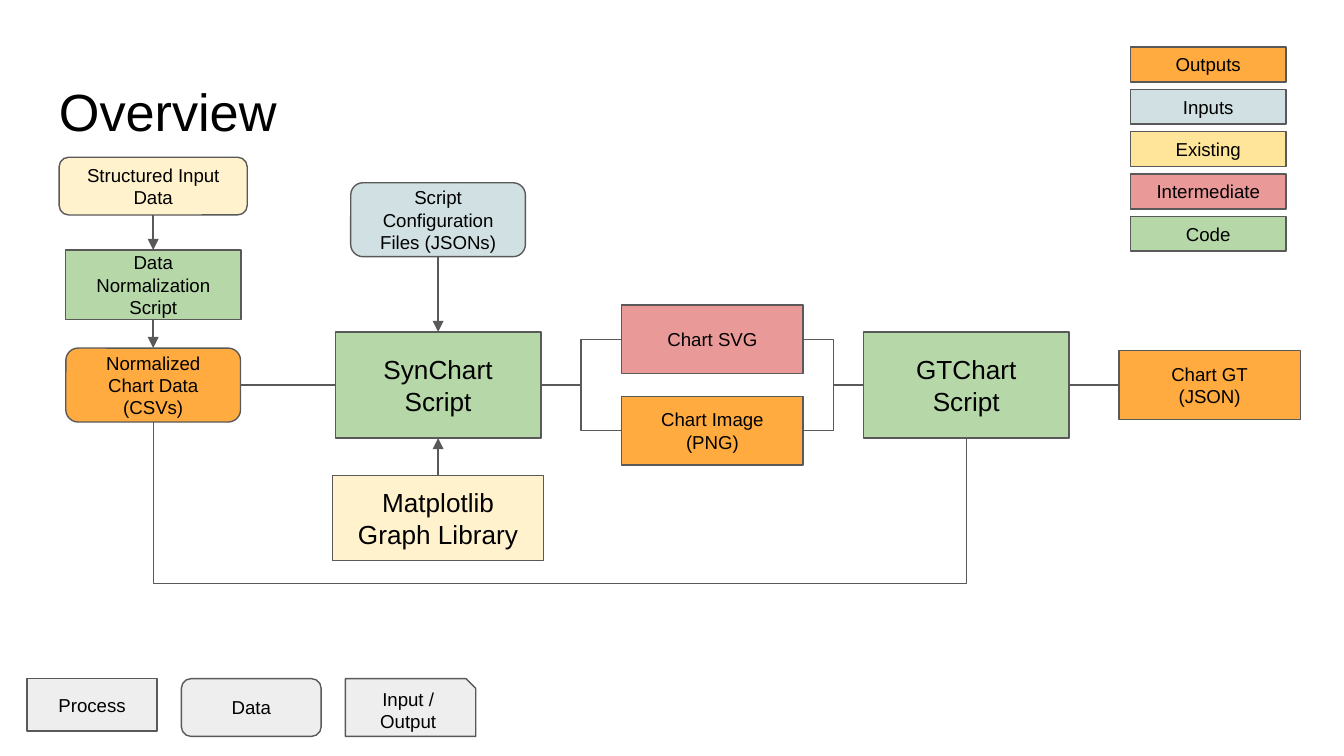
from lxml.etree import SubElement
from pptx import Presentation
from pptx.dml.color import RGBColor
from pptx.enum.shapes import MSO_CONNECTOR as Link, MSO_SHAPE as Form
from pptx.enum.text import MSO_ANCHOR as Anchor, PP_ALIGN as Align
from pptx.oxml.ns import qn
from pptx.util import Inches, Pt

WIDE = 10
HIGH = WIDE * 9 / 16
INK, EDGE = "000000", "595959"
ORANGE, BLUE, CREAM, YELLOW = "FFAB40", "D0E0E3", "FFF2CC", "FFE599"
PINK, GREEN, GRAY = "EA9999", "B6D7A8", "EEEEEE"
RECT, ROUND, SNIP = Form.RECTANGLE, Form.ROUNDED_RECTANGLE, Form.SNIP_1_RECTANGLE
TOP, LEFT, BOTTOM, RIGHT = range(4)

LEGEND = [("Outputs", ORANGE), ("Inputs", BLUE), ("Existing", YELLOW),
          ("Intermediate", PINK), ("Code", GREEN)]
FIRST, LAST = 0.35, 1.61

KEYS = [("Process", RECT, 0.2, 0.97, 0.39),
        ("Data", ROUND, 1.35, 1.04, 0.43),
        ("Input / Output", SNIP, 2.57, 0.97, 0.43)]

COLS = {"data": 1.14, "syn": 3.26, "files": 5.3, "truth": 7.19, "result": 9}

NODES = {
    "source": ("Structured Input Data", ROUND, CREAM, 10, "data", 1.17, 1.4, 0.43),
    "clean": ("Data Normalization Script", RECT, GREEN, 10, "data", 1.86, 1.31, 0.52),
    "table": ("Normalized Chart Data\n(CSVs)", ROUND, ORANGE, 10, "data", 2.59, 1.3, 0.55),
    "config": ("Script Configuration\nFiles (JSONs)", ROUND, BLUE, 10, "syn", 1.36, 1.3, 0.55),
    "synth": ("SynChart Script", RECT, GREEN, 14, "syn", 2.47, 1.53, 0.79),
    "library": ("Matplotlib Graph Library", RECT, CREAM, 14, "syn", 3.54, 1.57, 0.63),
    "vector": ("Chart SVG", RECT, PINK, 10, "files", 2.27, 1.35, 0.51),
    "image": ("Chart Image\n(PNG)", RECT, ORANGE, 10, "files", 2.95, 1.35, 0.51),
    "truth": ("GTChart\nScript", RECT, GREEN, 14, "truth", 2.47, 1.53, 0.79),
    "result": ("Chart GT\n(JSON)", RECT, ORANGE, 10, "result", 2.61, 1.35, 0.51),
}

ARROWS = [("source", BOTTOM, "clean", TOP), ("clean", BOTTOM, "table", TOP),
          ("config", BOTTOM, "synth", TOP), ("library", TOP, "synth", BOTTOM)]

ELBOWS = [("table", "synth"), ("synth", "vector"), ("synth", "image"),
          ("vector", "truth"), ("image", "truth"), ("truth", "result")]

LOOP = ("table", "truth", 4.34)

deck = Presentation()
deck.slide_width, deck.slide_height = Inches(WIDE), Inches(HIGH)
slide = deck.slides.add_slide(deck.slide_layouts[6])
shapes = slide.shapes


def paint(code):
    return RGBColor.from_string(code)


def write(shape, text, size=10, align=Align.CENTER, anchor=Anchor.MIDDLE):
    frame = shape.text_frame
    frame.word_wrap = True
    frame.vertical_anchor = anchor
    frame.margin_left = frame.margin_right = Inches(0.1)
    frame.margin_top = frame.margin_bottom = Inches(0.1)
    frame.text = text
    for para in frame.paragraphs:
        para.alignment = align
        for run in para.runs:
            run.font.size = Pt(size)
            run.font.name = "Arial"
            run.font.color.rgb = paint(INK)


def box(text, form, fill, x, y, w, h, size=10):
    shape = shapes.add_shape(form, Inches(x), Inches(y), Inches(w), Inches(h))
    shape.shadow.inherit = False
    shape.fill.solid()
    shape.fill.fore_color.rgb = paint(fill)
    shape.line.color.rgb = paint(EDGE)
    shape.line.width = Pt(0.75)
    write(shape, text, size=size)
    return shape


def wire(kind, start=(0, 0), end=(0, 0), head=False):
    line = shapes.add_connector(kind, *[Inches(n) for n in (*start, *end)])
    line.line.color.rgb = paint(EDGE)
    line.line.width = Pt(0.75)
    props = line._element.spPr
    if head:
        SubElement(props.find(qn("a:ln")), qn("a:tailEnd"), type="triangle")
    SubElement(props, qn("a:effectLst"))
    return line


def join(kind, a, out, b, into, head=False):
    line = wire(kind, head=head)
    line.begin_connect(nodes[a], out)
    line.end_connect(nodes[b], into)


def foot(name):
    col, y, w, h = NODES[name][4:]
    return COLS[col], y + h


def loop(a, b, low):
    (ax, ay), (bx, by) = foot(a), foot(b)
    mx, my = (ax + bx) / 2, (ay + by) / 2
    dx, dy = (bx - ax) / 2, (by - ay) / 2
    line = wire(Link.ELBOW, (mx + dy, my - dx), (mx - dy, my + dx))
    props = line._element.spPr
    props.find(qn("a:xfrm")).set("rot", str(270 * 60000))
    geom = props.find(qn("a:prstGeom"))
    guides = geom.find(qn("a:avLst"))
    if guides is None:
        guides = SubElement(geom, qn("a:avLst"))
    share = round((low - ay) / (by - ay) * 100000)
    SubElement(guides, qn("a:gd"), name="adj1", fmla=f"val {share}")


title = shapes.add_textbox(Inches(0.34), Inches(0.49), Inches(9.32), Inches(0.63))
write(title, "Overview", size=28, align=Align.LEFT, anchor=Anchor.TOP)

step = (LAST - FIRST) / (len(LEGEND) - 1)
for row, (text, fill) in enumerate(LEGEND):
    box(text, RECT, fill, 8.41, FIRST + row * step, 1.16, 0.26)

for text, form, x, w, h in KEYS:
    box(text, form, GRAY, x, 5.05, w, h)

nodes = {}
for name, (text, form, fill, size, col, y, w, h) in NODES.items():
    nodes[name] = box(text, form, fill, COLS[col] - w / 2, y, w, h, size)

for a, out, b, into in ARROWS:
    join(Link.STRAIGHT, a, out, b, into, head=True)
for a, b in ELBOWS:
    join(Link.ELBOW, a, RIGHT, b, LEFT)
loop(*LOOP)

deck.save("out.pptx")
